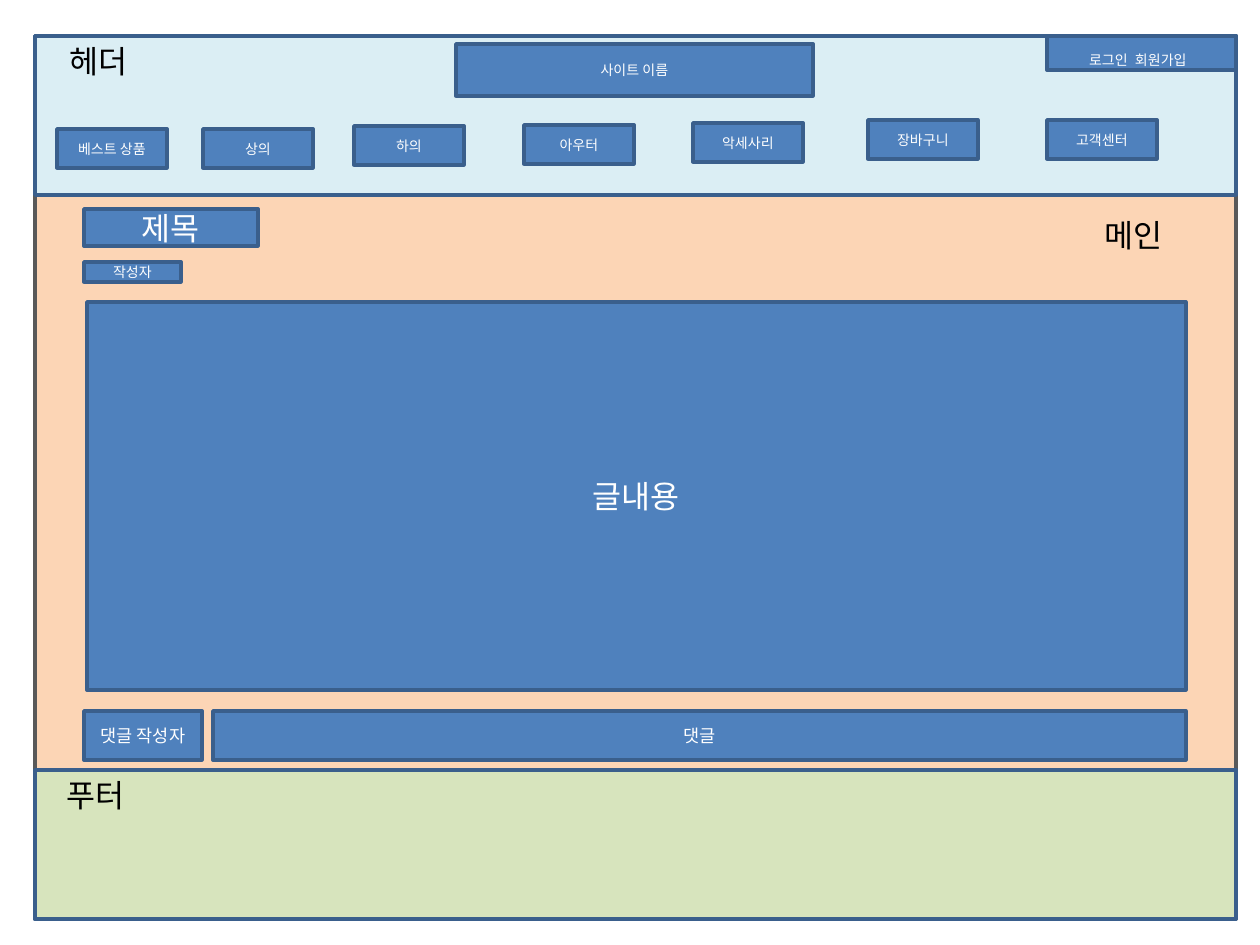
from collections import namedtuple
from dataclasses import dataclass

from pptx import Presentation, util as u
from pptx.dml.color import RGBColor
from pptx.enum import shapes, text
from pptx.oxml.ns import qn
from lxml import etree

PX = 914400 // 126  # EMU per pixel
Box = namedtuple("Box", "x y w h")


@dataclass(frozen=True)
class Theme:
    font: str = "Noto Sans CJK KR"
    page: str = "B9CDE5"
    header: str = "DBEEF4"
    main: str = "FCD5B5"
    footer: str = "D7E4BD"
    block: str = "4F81BD"
    line: str = "3A5F8C"
    main_line: str = "595959"
    light: str = "FFFFFF"
    dark: str = "000000"
    small: int = 8
    medium: int = 10
    large: int = 18
    border: int = 2


THEME = Theme()


def emu(box):
    return [u.Emu(round(v * PX)) for v in box]


def inside(region, x, y, w, h):
    return Box(region.x + x, region.y + y, w, h)


def add_runs(paragraph, runs, color):
    for words, size in runs:
        run = paragraph.add_run()
        run.text = words
        run.font.size = u.Pt(size)
        run.font.color.rgb = RGBColor.from_string(color)
        run.font.name = THEME.font
        east_asian = etree.SubElement(run.font._element, qn("a:ea"))
        east_asian.set("typeface", THEME.font)


def add_panel(slide, box, fill, line=THEME.line):
    panel = slide.shapes.add_shape(shapes.MSO_SHAPE.RECTANGLE, *emu(box))
    panel.shadow.inherit = False
    panel.fill.solid()
    panel.fill.fore_color.rgb = RGBColor.from_string(fill)
    panel.line.color.rgb = RGBColor.from_string(line)
    panel.line.width = u.Pt(THEME.border)
    return panel


def add_block(slide, box, *runs):
    frame = add_panel(slide, box, THEME.block).text_frame
    frame.word_wrap = True
    frame.vertical_anchor = text.MSO_ANCHOR.MIDDLE
    frame.paragraphs[0].alignment = text.PP_ALIGN.CENTER
    add_runs(frame.paragraphs[0], runs, THEME.light)


def add_label(slide, region, x, y, words):
    frame = slide.shapes.add_textbox(*emu(inside(region, x, y, 126, 50))).text_frame
    frame.word_wrap = True
    frame.auto_size = text.MSO_AUTO_SIZE.SHAPE_TO_FIT_TEXT
    add_runs(frame.paragraphs[0], [(words, THEME.large)], THEME.dark)


def build_header(slide, region):
    add_panel(slide, region, THEME.header)
    # Account links and site name
    add_block(slide, inside(region, 1012, 0, 189, 34),
              ("로그인", THEME.small), (" ", THEME.large),
              ("회원가입", THEME.small), (" ", THEME.large))
    add_block(slide, inside(region, 421, 8, 357, 52), ("사이트 이름", THEME.small))
    # Menu
    menu = [("베스트 상품", 22, 93), ("상의", 168, 93), ("하의", 319, 90),
            ("아우터", 489, 89), ("악세사리", 658, 87),
            ("장바구니", 833, 84), ("고객센터", 1012, 84)]
    for words, x, y in menu:
        add_block(slide, inside(region, x, y, 110, 39), (words, THEME.small))
    add_label(slide, region, 22, 0, "헤더")


def build_main(slide, region):
    add_panel(slide, region, THEME.main, THEME.main_line)
    # Post and comments
    parts = [("제목", THEME.large, 49, 74, 174, 37),
             ("작성자", THEME.small, 49, 127, 97, 20),
             ("글내용", THEME.large, 52, 167, 1099, 388),
             ("댓글", THEME.medium, 178, 576, 973, 49),
             ("댓글 작성자", THEME.medium, 49, 576, 118, 49)]
    for words, size, *place in parts:
        add_block(slide, inside(region, *place), (words, size))
    add_label(slide, region, 1057, 75, "메인")


def build_footer(slide, region):
    add_panel(slide, region, THEME.footer)
    add_label(slide, region, 19, 0, "푸터")


deck = Presentation()
deck.slide_width, deck.slide_height = u.Inches(10), u.Inches(7.5)
wireframe = deck.slides.add_slide(deck.slide_layouts[6])

# Page regions, from back to front
page = Box(35, 36, 1201, 883)
add_panel(wireframe, page, THEME.page)
build_main(wireframe, inside(page, 0, 99, page.w, 635))
build_footer(wireframe, inside(page, 0, 734, page.w, 149))
build_header(wireframe, inside(page, 0, 0, page.w, 159))

deck.save("out.pptx")
